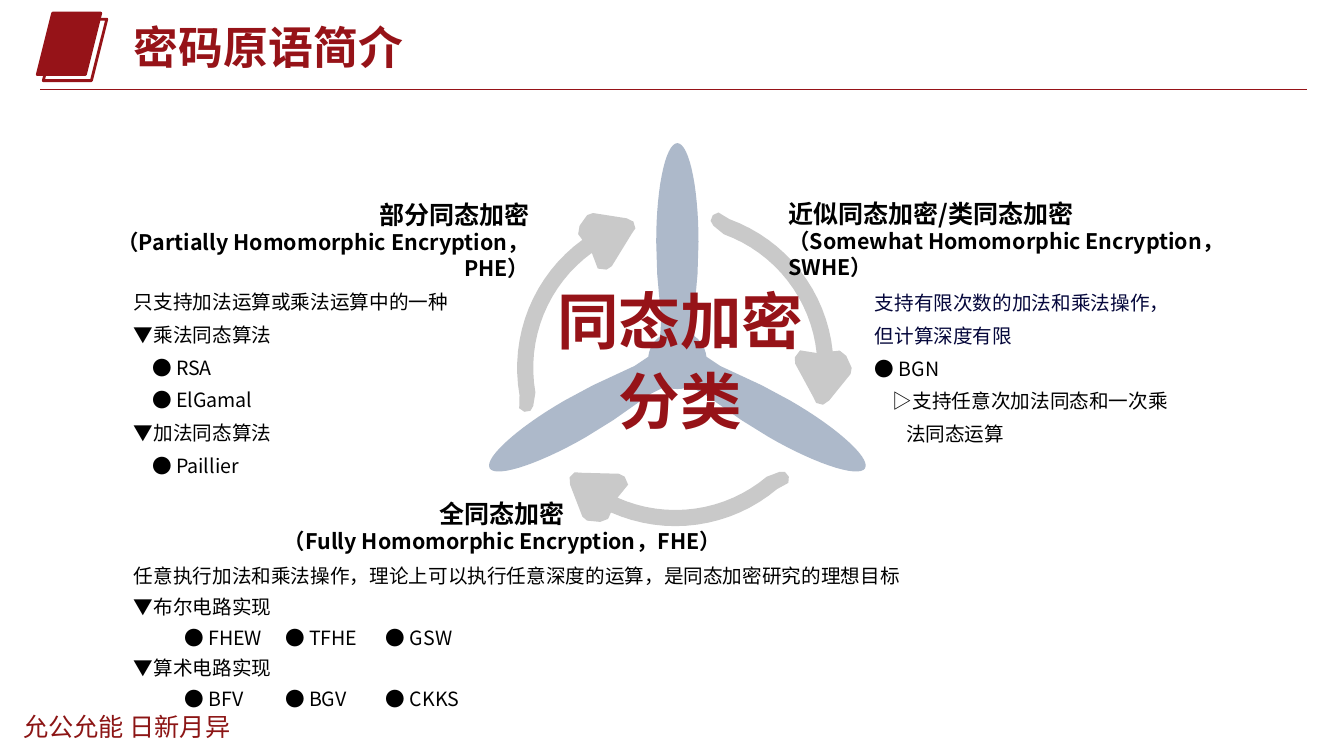
from dataclasses import dataclass
from math import atan2, cos, degrees, hypot, radians, sin

from lxml import etree
from pptx import Presentation
from pptx.dml.color import RGBColor
from pptx.enum.shapes import MSO_CONNECTOR, MSO_SHAPE
from pptx.enum.text import MSO_ANCHOR, PP_ALIGN
from pptx.oxml.ns import qn
from pptx.util import Inches, Pt

LINE = MSO_CONNECTOR.STRAIGHT
PARALLELOGRAM = MSO_SHAPE.PARALLELOGRAM
TOP, MIDDLE = MSO_ANCHOR.TOP, MSO_ANCHOR.MIDDLE
LEFT, CENTER, RIGHT = PP_ALIGN.LEFT, PP_ALIGN.CENTER, PP_ALIGN.RIGHT

# The grid has square cells, ten to the inch.
CELL = Inches(0.1)
COLUMNS, ROWS = 133.33, 75
INDENT, DEEP_INDENT = 1.8, 3.1
BODY_LEFT = 12.3
TURNS = (0, 120, 240)
PROPELLER_CENTER = (67.2, 35.7)
ARROW_CENTER = (67, 36.5)


@dataclass(frozen=True)
class Theme:
    red: str = "961318"
    motto_red: str = "8C1515"
    black: str = "000000"
    navy: str = "05073B"
    blade: str = "ADB9CA"
    arrow: str = "C9C9C9"
    latin: str = "Arial"
    chinese: str = "Noto Sans CJK SC"
    title: float = 32
    center: float = 44
    heading: float = 17.9
    subheading: float = 15.3
    motto: float = 18
    body: float = 14


@dataclass(frozen=True)
class Line:
    """One paragraph; indent and tabs are in grid cells."""
    text: str
    color: str = Theme.black
    indent: float = 0
    tabs: tuple = ()


def grid(cells):
    return round(cells * CELL)


def polar(center, angle, radius):
    """Return a grid point; the angle runs clockwise from straight up."""
    turn = radians(angle)
    return center[0] + radius * sin(turn), center[1] - radius * cos(turn)


class SlideBuilder:
    def __init__(self, presentation, theme):
        self.theme = theme
        self.slide = presentation.slides.add_slide(presentation.slide_layouts[6])
        self.shapes = self.slide.shapes

    def paint(self, shape, fill=None, outline=None):
        shape.shadow.inherit = False
        if fill:
            shape.fill.solid()
            shape.fill.fore_color.rgb = RGBColor.from_string(fill)
        else:
            shape.fill.background()
        if outline:
            shape.line.color.rgb = RGBColor.from_string(outline)
            shape.line.width = Pt(2)
        else:
            shape.line.fill.background()

    def preset(self, kind, box, fill=None, outline=None):
        self.paint(self.shapes.add_shape(kind, *map(grid, box)), fill, outline)

    def outline(self, points, fill):
        points = [(grid(x), grid(y)) for x, y in points]
        builder = self.shapes.build_freeform(*points[0], scale=1.0)
        builder.add_line_segments(points[1:], close=True)
        self.paint(builder.convert_to_shape(), fill)

    def rule(self, start, end, color):
        line = self.shapes.add_connector(LINE, *map(grid, start + end))
        line.line.color.rgb = RGBColor.from_string(color)
        line.line.width = Pt(0.75)
        etree.SubElement(line._element.spPr, qn("a:effectLst"))

    def text_box(self, box, anchor=TOP):
        frame = self.shapes.add_textbox(*map(grid, box)).text_frame
        for name, value in {"word_wrap": True, "vertical_anchor": anchor}.items():
            setattr(frame, name, value)
        return frame

    def add_text(self, paragraph, text, color, font_name=None, **font_values):
        run = paragraph.add_run()
        run.text = text
        values = {"name": font_name or self.theme.chinese, **font_values}
        for name, value in values.items():
            setattr(run.font, name, value)
        run.font.color.rgb = RGBColor.from_string(color)
        east_asian = etree.SubElement(run._r.get_or_add_rPr(), qn("a:ea"))
        east_asian.set("typeface", self.theme.chinese)

    def set_indent(self, paragraph, line):
        properties = paragraph._p.get_or_add_pPr()
        properties.set("marL", str(grid(line.indent)))
        properties.set("indent", "0")
        if line.tabs:
            tab_list = etree.SubElement(properties, qn("a:tabLst"))
            for position in line.tabs:
                etree.SubElement(tab_list, qn("a:tab"), pos=str(grid(position)), algn="l")

    def paragraphs(self, frame, lines):
        """Yield each line with its paragraph, adding paragraphs as needed."""
        for index, line in enumerate(lines):
            yield line, frame.add_paragraph() if index else frame.paragraphs[0]

    def body(self, box, lines, spacing):
        for line, paragraph in self.paragraphs(self.text_box(box), lines):
            self.set_indent(paragraph, line)
            paragraph.line_spacing = spacing
            self.add_text(paragraph, line.text, line.color, size=Pt(self.theme.body))

    def heading(self, box, alignment, chinese, english):
        sizes = {chinese: self.theme.heading, english: self.theme.subheading}
        for text, paragraph in self.paragraphs(self.text_box(box, MIDDLE), sizes):
            paragraph.alignment = alignment
            self.add_text(paragraph, text, self.theme.black, size=Pt(sizes[text]), bold=True)

    def title(self, box, runs):
        paragraph = self.text_box(box).paragraphs[0]
        paragraph.line_spacing = 0.9
        for text, font_name in runs:
            self.add_text(paragraph, text, self.theme.red, font_name,
                          size=Pt(self.theme.title), bold=True)

    def center_label(self, box, lines):
        for text, paragraph in self.paragraphs(self.text_box(box), lines):
            values = {"alignment": CENTER, "line_spacing": 0.9,
                      "space_before": Pt(0 if text == lines[0] else 10)}
            for name, value in values.items():
                setattr(paragraph, name, value)
            self.add_text(paragraph, text, self.theme.red, self.theme.latin,
                          size=Pt(self.theme.center), bold=True)

    def motto(self, box, text):
        paragraph = self.text_box(box).paragraphs[0]
        self.add_text(paragraph, text, self.theme.motto_red, size=Pt(self.theme.motto))

    def propeller(self):
        """Three equal blades joined by a round hub."""
        right = [(2.1 * sin(radians(a)), 11.7 + 9.8 * cos(radians(a)))
                 for a in range(0, 91, 6)] + [(2, 8.5), (1.6, 4)]
        left = [(-x, y) for x, y in reversed(right)]
        blade = [(degrees(atan2(x, y)), hypot(x, y)) for x, y in left + right]
        hub = [(angle, 2.9) for angle in range(36, 85, 8)]
        self.outline([polar(PROPELLER_CENTER, turn + angle, radius)
                      for turn in TURNS for angle, radius in blade + hub],
                     self.theme.blade)

    def cycle_arrows(self):
        """Three equal curved arrows, clockwise around the propeller."""
        tail = [(15, 14.6), (13.5, 15), (13.8, 15.6), (15.5, 16)]
        outer = [(angle, 15.7) for angle in range(20, 85, 4)]
        head = [(84, 16.4), (86, 17), (90, 17.5), (92, 17.4), (102, 15.6),
                (104, 15.1), (104, 14.4), (102, 14), (88, 11.9), (85, 11.9), (82, 12.5)]
        inner = [(angle, 14.1) for angle in range(84, 19, -4)]
        for turn in TURNS:
            self.outline([polar(ARROW_CENTER, turn + angle, radius)
                          for angle, radius in tail + outer + head + inner],
                         self.theme.arrow)


def main():
    presentation = Presentation()
    presentation.slide_width = grid(COLUMNS)
    presentation.slide_height = grid(ROWS)
    theme = Theme()
    builder = SlideBuilder(presentation, theme)

    builder.preset(PARALLELOGRAM, (3.7, 1.3, 6.3, 6.1), theme.red, theme.red)
    builder.preset(PARALLELOGRAM, (4.3, 1.9, 6.3, 6.1), outline=theme.red)
    builder.rule((4, 8.9), (129.7, 8.9), theme.red)
    builder.title((BODY_LEFT, 2.1, 55.1, 6.7),
                  [("密码", theme.latin), ("原语简介", theme.chinese)])
    builder.propeller()
    builder.cycle_arrows()
    builder.body((BODY_LEFT, 27.3, 33.5, 21.5), [
        Line("只支持加法运算或乘法运算中的一种"),
        Line("▼乘法同态算法"),
        Line("● RSA", indent=INDENT),
        Line("● ElGamal", indent=INDENT),
        Line("▼加法同态算法"),
        Line("● Paillier", indent=INDENT)], 1.4)
    builder.heading((6, 20.2, 47.5, 7.2), RIGHT,
                    "部分同态加密", "（Partially Homomorphic Encryption，PHE）")
    builder.motto((1.3, 70.1, 25.2, 4), "允公允能 日新月异")
    builder.center_label((53.4, 28.4, 28.2, 17.6), ["同态加密", "分类"])
    builder.heading((77.2, 20.1, 52.2, 7.2), LEFT,
                    "近似同态加密/类同态加密", "（Somewhat Homomorphic Encryption，SWHE）")
    builder.heading((26.1, 48.6, 47.5, 7.2), CENTER,
                    "全同态加密", "（Fully Homomorphic Encryption，FHE）")
    builder.body((85.8, 27.4, 32.2, 21.5), [
        Line("支持有限次数的加法和乘法操作，但计算深度有限", theme.navy),
        Line("● BGN"),
        Line("▷支持任意次加法同态和一次乘", indent=INDENT),
        Line("法同态运算", indent=DEEP_INDENT)], 1.4)
    builder.body((BODY_LEFT, 54.8, 90, 16.1), [
        Line("任意执行加法和乘法操作，理论上可以执行任意深度的运算，是同态加密研究的理想目标"),
        Line("▼布尔电路实现"),
        Line("\t● FHEW\t● TFHE\t● GSW", tabs=(INDENT, 18.3, 33.7)),
        Line("▼算术电路实现"),
        Line("\t● BFV\t● BGV\t● CKKS", tabs=(INDENT, 17.7, 33))], 1.3)
    presentation.save("out.pptx")


if __name__ == "__main__":
    main()
